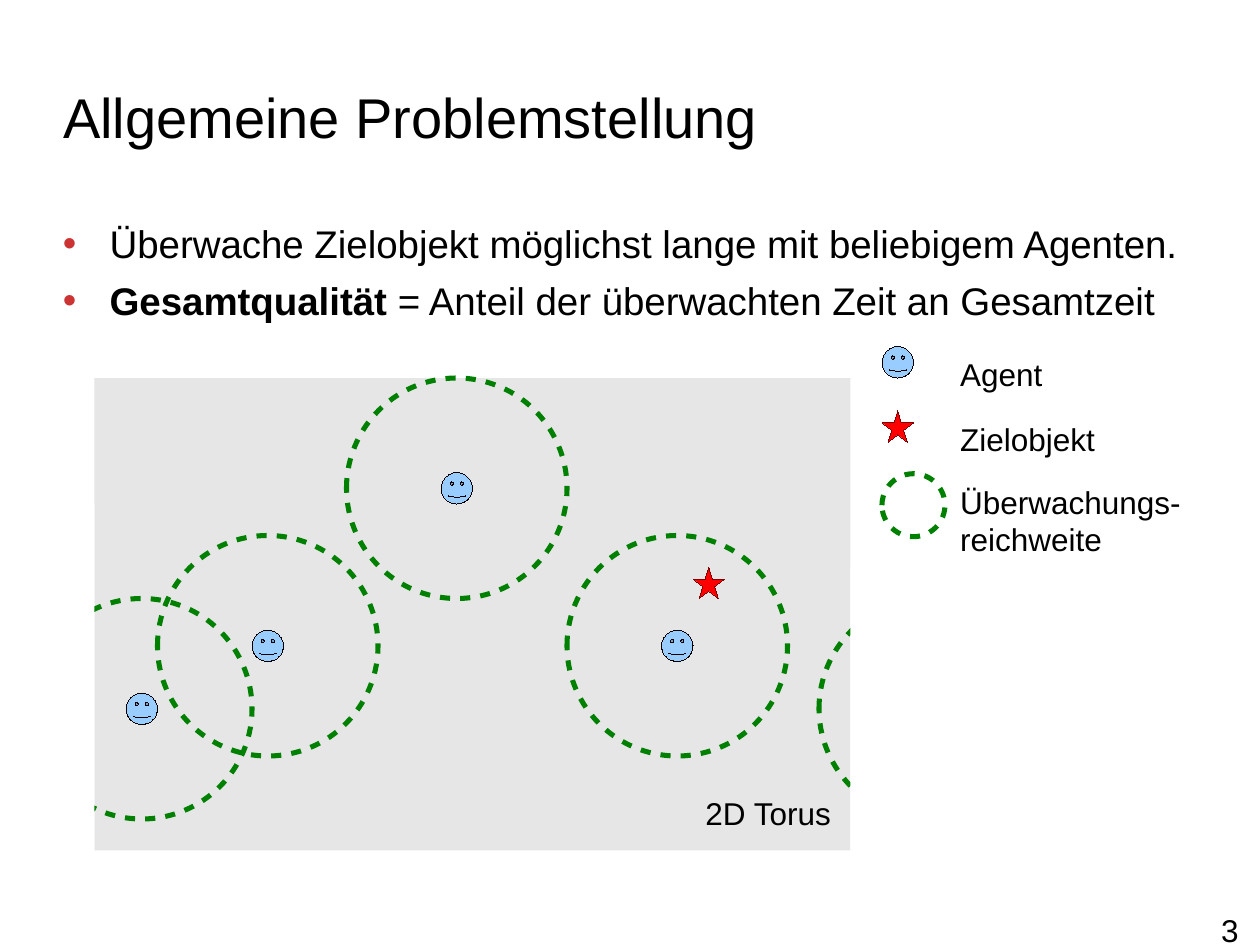
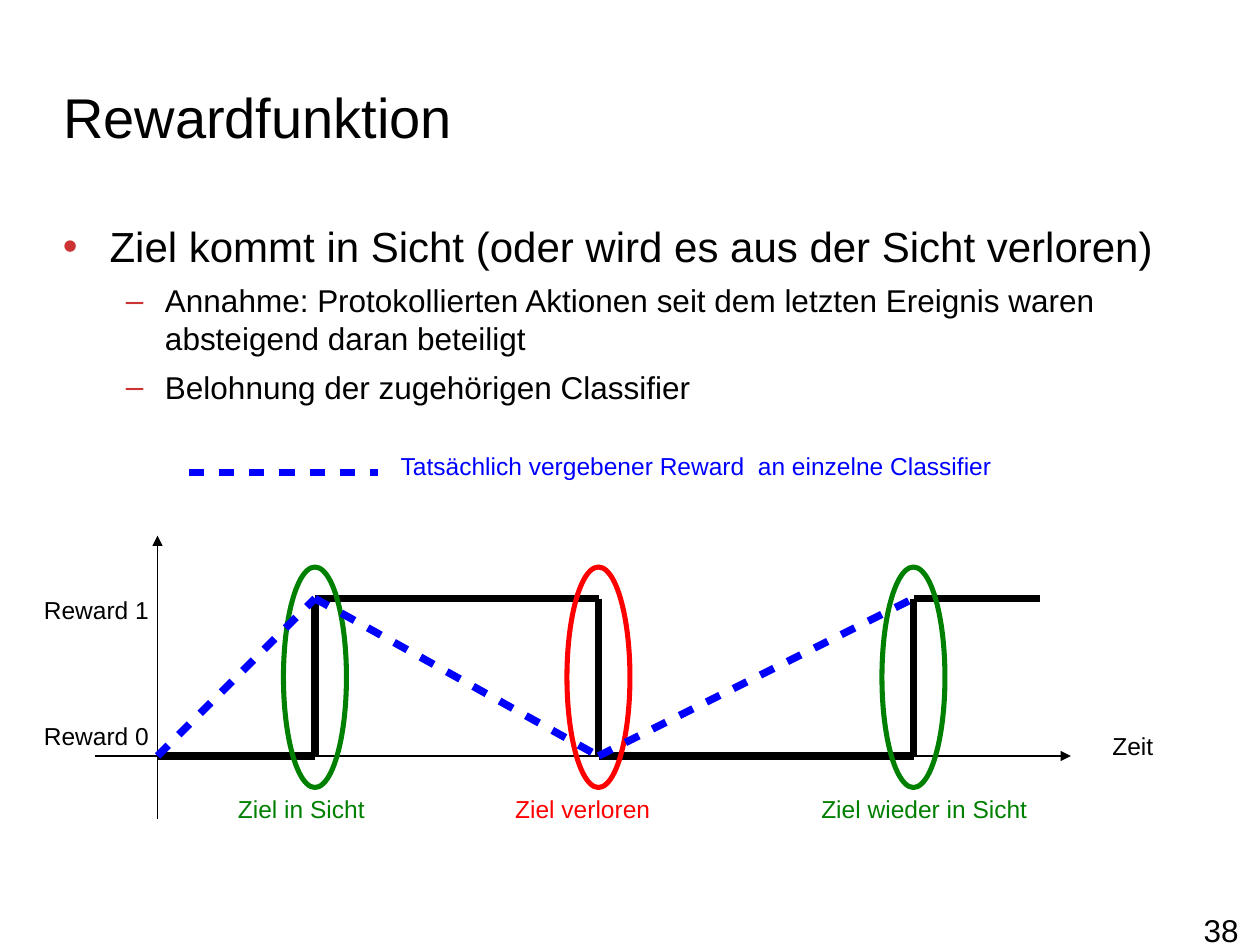
from pptx import Presentation
from pptx.dml.color import RGBColor
from pptx.enum.shapes import MSO_CONNECTOR as CONN, MSO_SHAPE as SHAPE
from pptx.enum.text import MSO_ANCHOR as ANCHOR, PP_ALIGN as ALIGN
from pptx.oxml.ns import qn
from pptx.util import Inches, Pt
from lxml.etree import SubElement

COLS, ROWS, CELL = 40, 30, 0.25
FONT = "Arial"
BLACK, WHITE, GREY = "000000", "FFFFFF", "E6E6E6"
GREEN, RED, BLUE = "008000", "FF0000", "0000FF"
SKY, MAROON, BULLET = "99CCFF", "800000", "CC3333"
HAIR, RING, THICK = 0, 2.89, 4.31
LEVELS = (("•", 0.37, 0.37), ("–", 0.81, 0.31))


def rgb(value):
    return RGBColor.from_string(value)


def put(obj, **fmt):
    for name, value in fmt.items():
        setattr(obj, name, value)


def cells(*values):
    return [Inches(v * CELL) for v in values]


class Deck:
    def __init__(self):
        self.prs = Presentation()
        width, height = cells(COLS, ROWS)
        put(self.prs, slide_width=width, slide_height=height)
        self.s = None

    def slide(self, title, number, items):
        self.s = self.prs.slides.add_slide(self.prs.slide_layouts[6])
        self.text(title, (2, 1.2, 23.52, 5), 32, pad=(0, 0), anchor=ANCHOR.MIDDLE)
        self.text(number, (30, 28.92, 9.32, 1.08), 18, pad=(0, 0), align=ALIGN.RIGHT)
        self.bullets(items)

    def frame(self, at, pad, anchor):
        tf = self.s.shapes.add_textbox(*cells(*at)).text_frame
        x, y = map(Inches, pad)
        put(tf, margin_left=x, margin_right=x, margin_top=y, margin_bottom=y,
            word_wrap=True, vertical_anchor=anchor)
        return tf

    def run(self, p, text, size, color=BLACK, bold=False):
        r = p.add_run()
        r.text = text
        put(r.font, name=FONT, size=Pt(size), bold=bold)
        r.font.color.rgb = rgb(color)

    def text(self, text, at, size, color=BLACK, pad=(0.1, 0.05),
             align=ALIGN.LEFT, anchor=ANCHOR.TOP):
        tf = self.frame(at, pad, anchor)
        for i, line in enumerate(text.split("\n")):
            p = tf.add_paragraph() if i else tf.paragraphs[0]
            p.alignment = align
            self.run(p, line, size, color)

    def bullets(self, items):
        tf = self.frame((2, 7, 36, 21.16), (0, 0), ANCHOR.TOP)
        for i, (level, size, runs) in enumerate(items):
            p = tf.add_paragraph() if i else tf.paragraphs[0]
            put(p, level=level, space_before=Pt(6))
            char, left, hang = LEVELS[level]
            ppr = p._p.get_or_add_pPr()
            ppr.set("marL", str(Inches(left)))
            ppr.set("indent", str(-Inches(hang)))
            SubElement(SubElement(ppr, qn("a:buClr")), qn("a:srgbClr"), val=BULLET)
            SubElement(ppr, qn("a:buFont"), typeface=FONT)
            SubElement(ppr, qn("a:buChar"), char=char)
            for text, bold in runs:
                self.run(p, text, size, bold=bold)

    def stroke(self, line, color, width, dashed):
        line.color.rgb = rgb(color)
        ln = line._get_or_add_ln()
        ln.set("w", str(Pt(width)))
        if dashed:
            SubElement(SubElement(ln, qn("a:custDash")), qn("a:ds"), d="200000", sp="200000")
        return ln

    def shape(self, kind, at, fill=None, color=None, width=HAIR, dashed=False):
        sp = self.s.shapes.add_shape(kind, *cells(*at))
        sp.shadow.inherit = False
        if fill:
            sp.fill.solid()
            sp.fill.fore_color.rgb = rgb(fill)
        else:
            sp.fill.background()
        if color:
            self.stroke(sp.line, color, width, dashed)
        else:
            sp.line.fill.background()
        return sp

    def path_of(self, points, color, width, dashed=False, arrow=False):
        for start, end in zip(points, points[1:]):
            cx = self.s.shapes.add_connector(CONN.STRAIGHT, *cells(*start, *end))
            ln = self.stroke(cx.line, color, width, dashed)
            if arrow:
                SubElement(ln, qn("a:tailEnd"), type="triangle")
            SubElement(cx._element.spPr, qn("a:effectLst"))

    def agent(self, x, y):
        self.shape(SHAPE.SMILEY_FACE, (x, y, 1, 1), SKY, BLACK).adjustments[0] = 0.02

    def target(self, x, y):
        self.shape(SHAPE.STAR_5_POINT, (x, y, 1, 1), RED, MAROON)

    def reach(self, x, y, size):
        self.shape(SHAPE.OVAL, (x, y, size, size), None, GREEN, RING, True)


def problem_slide(d):
    d.slide("Allgemeine Problemstellung", "3", [
        (0, 22, [("Überwache Zielobjekt möglichst lange mit beliebigem Agenten.", False)]),
        (0, 22, [("Gesamtqualität ", True),
                 ("= Anteil der überwachten Zeit an Gesamtzeit", False)]),
    ])
    d.shape(SHAPE.RECTANGLE, (3, 12, 24, 15), GREY)
    d.text("2D Torus", (22, 25, 5.2, 2), 18)
    for x, y in ((11, 12), (1, 19), (18, 17), (5, 17)):
        d.agent(x + 3, y + 3)
        d.reach(x, y, 7)
    d.reach(26, 19, 7)
    d.target(22, 18)

    d.agent(28, 11)
    d.target(28, 13.04)
    d.reach(28, 15.04, 2)
    for mask in ((27, 18, 8, 9), (0, 16, 3, 11)):
        d.shape(SHAPE.RECTANGLE, mask, WHITE)
    for label, y, w, h in (("Agent", 11, 3.9, 1.8),
                           ("Zielobjekt", 13.04, 5.5, 1.76),
                           ("Überwachungs-\nreichweite", 15.04, 8.3, 2.96)):
        d.text(label, (30, y, w, h), 18, pad=(0.12, 0.07))


def reward_slide(d):
    d.slide("Rewardfunktion", "38", [
        (0, 24, [("Ziel kommt in Sicht (oder wird es aus der Sicht verloren)", False)]),
        (1, 18, [("Annahme: Protokollierten Aktionen seit dem letzten Ereignis waren "
                  "absteigend daran beteiligt", False)]),
        (1, 18, [("Belohnung der zugehörigen Classifier", False)]),
    ])
    low, high = 24, 19
    start, seen, lost, again, end = 5, 10, 19, 29, 33
    d.path_of([(start, 26), (start, 17)], BLACK, HAIR, arrow=True)
    d.path_of([(3, low), (34, low)], BLACK, 1.45, arrow=True)
    d.path_of([(start, low), (seen, low), (seen, high), (lost, high), (lost, low),
               (again, low), (again, high), (end, high)], BLACK, THICK)
    for label, x, y, w in (("Reward 1", 1, 18.68, 4.4), ("Reward 0", 1, 22.68, 4.4),
                           ("Zeit", 34.92, 23, 2.4)):
        d.text(label, (x, y, w, 1.32), 14)
    for label, event, color, x, w in (("Ziel in Sicht", seen, GREEN, 7.16, 5.2),
                                      ("Ziel verloren", lost, RED, 15.96, 5.4),
                                      ("Ziel wieder in Sicht", again, GREEN, 25.68, 7.7)):
        d.shape(SHAPE.OVAL, (event - 1, 18, 2, 7), None, color, RING)
        d.text(label, (x, 25, w, 1.32), 14, color)
    d.path_of([(start, low), (seen, high), (lost, low), (again, high)], BLUE, THICK, dashed=True)
    d.path_of([(6, 15), (12, 15)], BLUE, THICK, dashed=True)
    d.text("Tatsächlich vergebener Reward  an einzelne Classifier",
           (12.2, 14, 20.2, 1.56), 14, BLUE, pad=(0.13, 0.08))


def main():
    d = Deck()
    problem_slide(d)
    reward_slide(d)
    d.prs.save("out.pptx")


if __name__ == "__main__":
    main()
